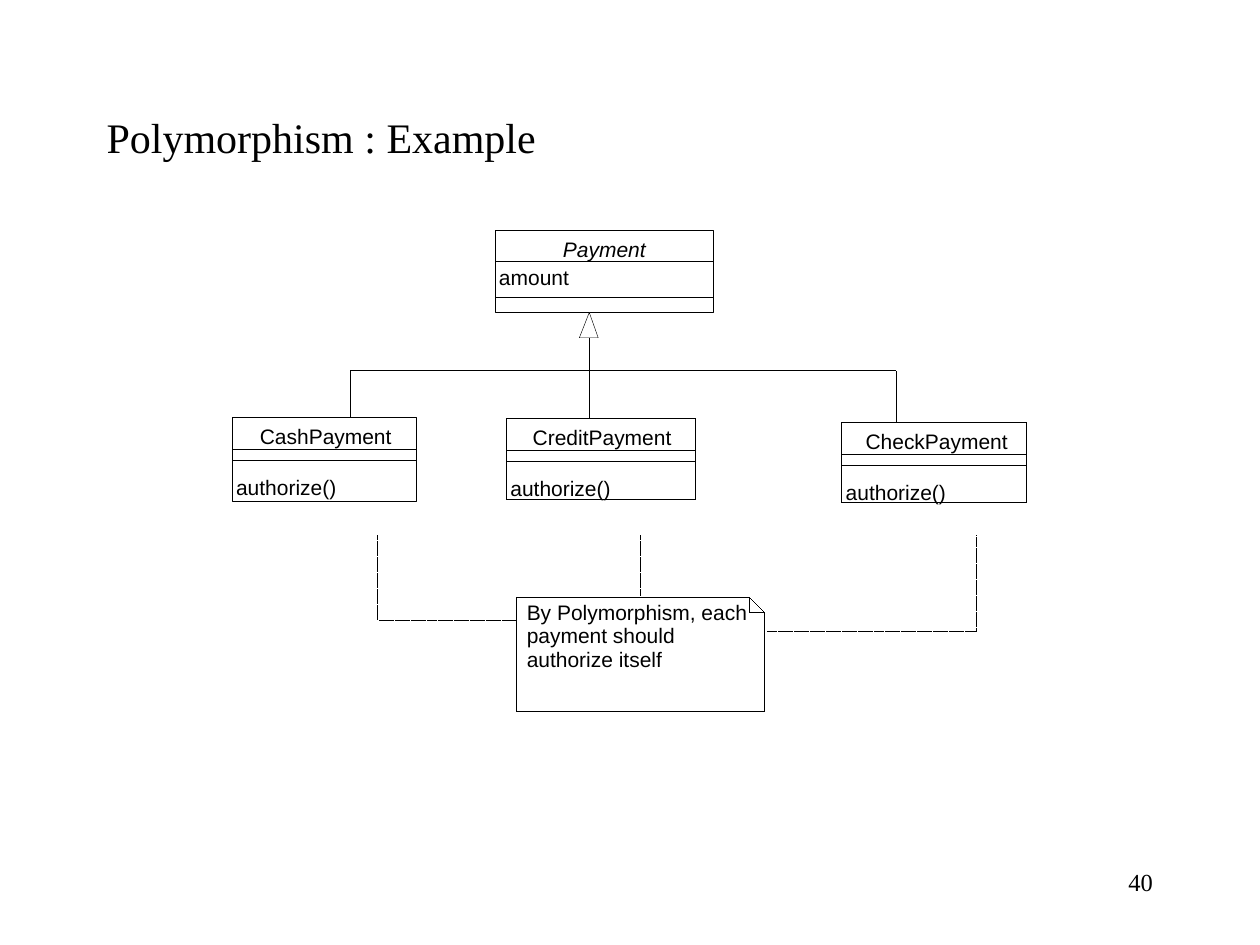
from pptx import Presentation
from pptx.dml.color import RGBColor
from pptx.enum.dml import MSO_LINE
from pptx.enum.shapes import MSO_CONNECTOR, MSO_SHAPE
from pptx.enum.text import MSO_ANCHOR, MSO_AUTO_SIZE, PP_ALIGN
from pptx.oxml import parse_xml
from pptx.util import Cm, Pt

BLACK = RGBColor(0, 0, 0)
WHITE = RGBColor(255, 255, 255)
NS = "http://schemas.openxmlformats.org/drawingml/2006/main"
HAIR, THIN = 0.01, 0.25

CLASSES = [
    ((10.21, 8.43, 3.81, 1.65), HAIR, ("CreditPayment", 10.74, 2.9),
     ("authorize()", 2.2), (0.64, 0.86), 1.15),
    ((16.97, 8.51, 3.73, 1.63), HAIR, ("CheckPayment", 17.45, 2.95),
     ("authorize()", 2.2), (0.64, 0.86), 1.16),
    ((4.68, 8.41, 3.71, 1.7), THIN, ("CashPayment", 5.24, 2.75),
     ("authorize()", 2.2), (0.64, 0.86), 1.15),
    ((9.98, 4.65, 4.39, 1.65), THIN, ("Payment", 11.35, 1.75),
     ("amount", 1.5), (0.62, 1.35), 0.69),
]
NOTE_LINES = [("By Polymorphism, each", 4.65), ("payment should", 3.2), ("authorize itself", 2.85)]
NOTE_X, NOTE_Y, NOTE_PITCH = 10.62, 12.09, 0.47
NOTE_SHAPES = [
    [(10.42, 12.04), (15.11, 12.04), (15.42, 12.34), (15.42, 14.35), (10.42, 14.35), (10.42, 12.04)],
    [(15.11, 12.04), (15.11, 12.34), (15.42, 12.34)],
]
NOTE_LINKS = [
    [(15.47, 12.73), (19.69, 12.73), (19.69, 10.8)],
    [(7.62, 10.8), (7.62, 12.5), (10.42, 12.5)],
]
TREE_Y = 7.47
TREE = [
    ((11.88, 8.43), (11.88, 6.3)),
    ((7.06, TREE_Y), (18.06, TREE_Y)),
    ((18.06, 8.51), (18.06, TREE_Y)),
    ((7.06, 8.41), (7.06, TREE_Y)),
]
ARROW = [(11.88, 6.3), (12.06, 6.81), (11.68, 6.81), (11.88, 6.3)]

prs = Presentation()
prs.slide_width, prs.slide_height = Cm(25.4), Cm(19.05)
s = prs.slides.add_slide(prs.slide_layouts[6])


def style_line(sp, width, dash=None):
    for key, value in {"width": Pt(width), "dash_style": dash}.items():
        setattr(sp.line, key, value)
    sp.line.color.rgb = BLACK


def style_shape(sp, width, dash=None, fill=None):
    sp.shadow.inherit = False
    style_line(sp, width, dash)
    if fill is None:
        sp.fill.background()
    else:
        sp.fill.solid()
        sp.fill.fore_color.rgb = fill


def line(start, end, width=THIN, dash=None):
    c = s.shapes.add_connector(MSO_CONNECTOR.STRAIGHT, *map(Cm, start + end))
    style_line(c, width, dash)
    c._element.spPr.append(parse_xml(f'<a:effectLst xmlns:a="{NS}"/>'))


def outline(points, width=HAIR, dash=None, fill=None):
    first, *rest = [(Cm(x), Cm(y)) for x, y in points]
    closed = points[0] == points[-1]
    fb = s.shapes.build_freeform(*first)
    fb.add_line_segments(rest[:-1] if closed else rest, close=closed)
    style_shape(fb.convert_to_shape(), width, dash, fill)


def text(content, box, size, name, align=PP_ALIGN.LEFT, italic=False, **frame):
    tf = s.shapes.add_textbox(*map(Cm, box)).text_frame
    for key, value in {"word_wrap": True, **frame}.items():
        setattr(tf, key, value)
    p = tf.paragraphs[0]
    p.alignment = align
    r = p.add_run()
    r.text = content
    for key, value in {"size": Pt(size), "name": name, "italic": italic}.items():
        setattr(r.font, key, value)
    r.font.color.rgb = BLACK


def label(content, x, y, w, italic=False):
    margins = dict.fromkeys(("margin_left", "margin_top", "margin_right", "margin_bottom"), 0)
    text(content, (x, y, w, 0.5), 12, "Arial", italic=italic,
         auto_size=MSO_AUTO_SIZE.SHAPE_TO_FIT_TEXT, **{"word_wrap": False, **margins})


text("Polymorphism : Example", (1.9, 1.7, 21.6, 2.1), 24, "Times New Roman",
     vertical_anchor=MSO_ANCHOR.MIDDLE)

for box, width, (name, name_x, name_w), (member, member_w), rules, member_dy in CLASSES:
    x, y, w, h = box
    style_shape(s.shapes.add_shape(MSO_SHAPE.RECTANGLE, *map(Cm, box)), width)
    label(name, name_x, y + 0.12, name_w, italic=name == "Payment")
    for dy in rules:
        line((x, y + dy), (x + w, y + dy))
    label(member, x + 0.08, y + member_dy, member_w)

for points in NOTE_SHAPES:
    outline(points)
for i, (content, w) in enumerate(NOTE_LINES):
    label(content, NOTE_X, NOTE_Y + i * NOTE_PITCH, w)

line((12.91, 10.8), (12.91, 12.01), HAIR, MSO_LINE.SQUARE_DOT)
for points in NOTE_LINKS:
    outline(points, dash=MSO_LINE.SQUARE_DOT)

for start, end in TREE:
    line(start, end)
outline(ARROW, THIN, fill=WHITE)

text("40", (18.21, 17.35, 5.28, 1.27), 14, "Times New Roman", PP_ALIGN.RIGHT)

prs.save("out.pptx")
